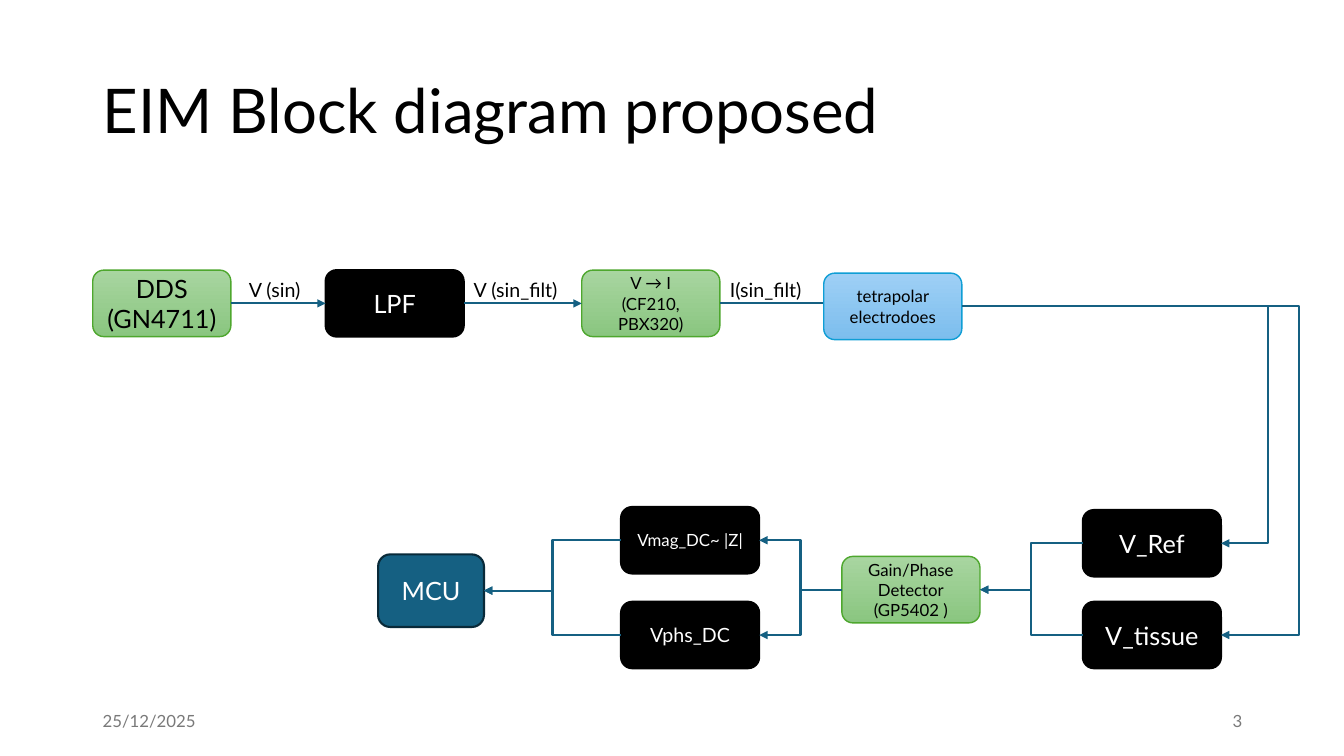
from dataclasses import dataclass

from lxml import etree
from pptx import Presentation
from pptx.dml.color import RGBColor
from pptx.enum import shapes, text
from pptx.oxml import ns
from pptx.util import Inches, Pt


@dataclass(frozen=True)
class Theme:
    font: str = "Lato"
    ink: str = "000000"
    paper: str = "FFFFFF"
    muted: str = "797979"
    wire: str = "156082"
    title: int = 44
    large: int = 18
    medium: int = 14
    small: int = 12
    line: float = 1.5


theme = Theme()
# Block styles: fill colours (two make a gradient), outline, outline width, text
CHIP = (("A8D5A0", "8AC680"), "4EA72E", 1, theme.ink)
SENSOR = (("9ECFF5", "7CBEED"), "0F9ED5", 1, theme.ink)
SIGNAL = ((theme.ink,), theme.ink, theme.line, theme.paper)
CONTROLLER = ((theme.wire,), "092A39", theme.line, theme.paper)
LEFT, RIGHT = 1, 3  # connection sites of a rounded rectangle
ALIGN = text.PP_ALIGN

deck = Presentation()
deck.slide_width, deck.slide_height = Inches(13.33), Inches(7.5)
page = deck.slides.add_slide(deck.slide_layouts[5])


def write(box, words, size, color, align=ALIGN.LEFT, anchor=text.MSO_ANCHOR.MIDDLE):
    frame = box.text_frame
    frame.word_wrap = True
    frame.auto_size = text.MSO_AUTO_SIZE.NONE
    frame.vertical_anchor = anchor
    frame.text = words
    for para in frame.paragraphs:
        para.alignment = align
        para.font.name = theme.font
        para.font.size = Pt(size)
        para.font.color.rgb = RGBColor.from_string(color)


title = page.shapes.title
title.left, title.top = Inches(0.92), Inches(0.4)
title.width, title.height = Inches(11.5), Inches(1.45)
write(title, "EIM Block diagram proposed", theme.title, theme.ink)
title.text_frame.paragraphs[0].line_spacing = 0.9

for left, words, align in ((0.92, "25/12/2025", ALIGN.LEFT), (9.42, "3", ALIGN.RIGHT)):
    box = page.shapes.add_textbox(Inches(left), Inches(6.95), Inches(3), Inches(0.4))
    write(box, words, theme.small, theme.muted, align)

# Blocks: name, left, top, width, height, words, size, style
blocks = {}
for name, left, top, width, height, words, size, style in (
    ("source", 0.92, 2.68, 1.37, 0.66, "DDS\n(GN4711)", theme.large, CHIP),
    ("filter", 3.23, 2.68, 1.37, 0.66, "LPF", theme.large, SIGNAL),
    ("driver", 5.77, 2.68, 1.37, 0.66, "V → I\v(CF210, PBX320)", theme.small, CHIP),
    ("electrodes", 8.17, 2.71, 1.37, 0.66, "tetrapolar electrodoes", theme.small, SENSOR),
    ("reference", 10.74, 5.06, 1.37, 0.66, "V_Ref", theme.large, SIGNAL),
    ("tissue", 10.74, 5.97, 1.37, 0.66, "V_tissue", theme.large, SIGNAL),
    ("detector", 8.35, 5.52, 1.37, 0.66, "Gain/Phase Detector\v(GP5402 )", theme.small, CHIP),
    ("magnitude", 6.16, 5.03, 1.37, 0.66, "Vmag_DC~ |Z|", theme.small, SIGNAL),
    ("phase", 6.16, 5.97, 1.37, 0.66, "Vphs_DC", theme.medium, SIGNAL),
    ("controller", 3.75, 5.5, 1.05, 0.72, "MCU", theme.large, CONTROLLER),
):
    fills, outline, weight, color = style
    block = page.shapes.add_shape(
        shapes.MSO_SHAPE.ROUNDED_RECTANGLE,
        Inches(left), Inches(top), Inches(width), Inches(height),
    )
    block.shadow.inherit = False
    if len(fills) == 2:
        block.fill.gradient()
        block.fill.gradient_angle = 270
        for stop, shade in zip(block.fill.gradient_stops, fills):
            stop.color.rgb = RGBColor.from_string(shade)
    else:
        block.fill.solid()
        block.fill.fore_color.rgb = RGBColor.from_string(fills[0])
    block.line.color.rgb = RGBColor.from_string(outline)
    block.line.width = Pt(weight)
    write(block, words, size, color, ALIGN.CENTER)
    blocks[name] = block

# Links: start, its site, end, its site, position of the bend (None is straight)
for start, start_site, end, end_site, bend in (
    ("source", RIGHT, "filter", LEFT, None),
    ("filter", RIGHT, "driver", LEFT, None),
    ("driver", RIGHT, "electrodes", LEFT, None),
    ("electrodes", RIGHT, "tissue", RIGHT, 1.3),
    ("electrodes", RIGHT, "reference", RIGHT, 1.18),
    ("reference", LEFT, "detector", RIGHT, 0.5),
    ("tissue", LEFT, "detector", RIGHT, 0.5),
    ("detector", LEFT, "magnitude", RIGHT, 0.5),
    ("detector", LEFT, "phase", RIGHT, 0.5),
    ("magnitude", LEFT, "controller", RIGHT, 0.5),
    ("phase", LEFT, "controller", RIGHT, 0.5),
):
    ends = []
    for block, site in ((blocks[start], start_site), (blocks[end], end_site)):
        ends += [block.left + (block.width if site == RIGHT else 0),
                 block.top + block.height // 2]
    if end == "electrodes":  # runs level and ends behind the block
        ends[2:] = [Inches(8.5), ends[1]]
    kind = shapes.MSO_CONNECTOR.STRAIGHT if bend is None else shapes.MSO_CONNECTOR.ELBOW
    link = page.shapes.add_connector(kind, *ends)
    link.begin_connect(blocks[start], start_site)
    if end == "electrodes":
        blocks[end].element.addprevious(link.element)
    else:
        link.end_connect(blocks[end], end_site)
    link.line.color.rgb = RGBColor.from_string(theme.wire)
    link.line.width = Pt(theme.line)
    properties = link.element.spPr
    outline = properties.find(ns.qn("a:ln"))
    etree.SubElement(outline, ns.qn("a:tailEnd"), type="triangle")
    etree.SubElement(properties, ns.qn("a:effectLst"))
    if bend is not None:
        guides = properties.find(ns.qn("a:prstGeom")).find(ns.qn("a:avLst"))
        etree.SubElement(guides, ns.qn("a:gd"), name="adj1", fmla=f"val {bend * 100000:.0f}")

for left, width, words in (
    (2.37, 0.78, "V (sin)"),
    (4.6, 1.17, "V (sin_filt)"),
    (7.14, 1.17, "I(sin_filt)"),
):
    label = page.shapes.add_textbox(Inches(left), Inches(2.71), Inches(width), Inches(0.34))
    write(label, words, theme.medium, theme.ink, anchor=text.MSO_ANCHOR.TOP)

deck.save("out.pptx")
